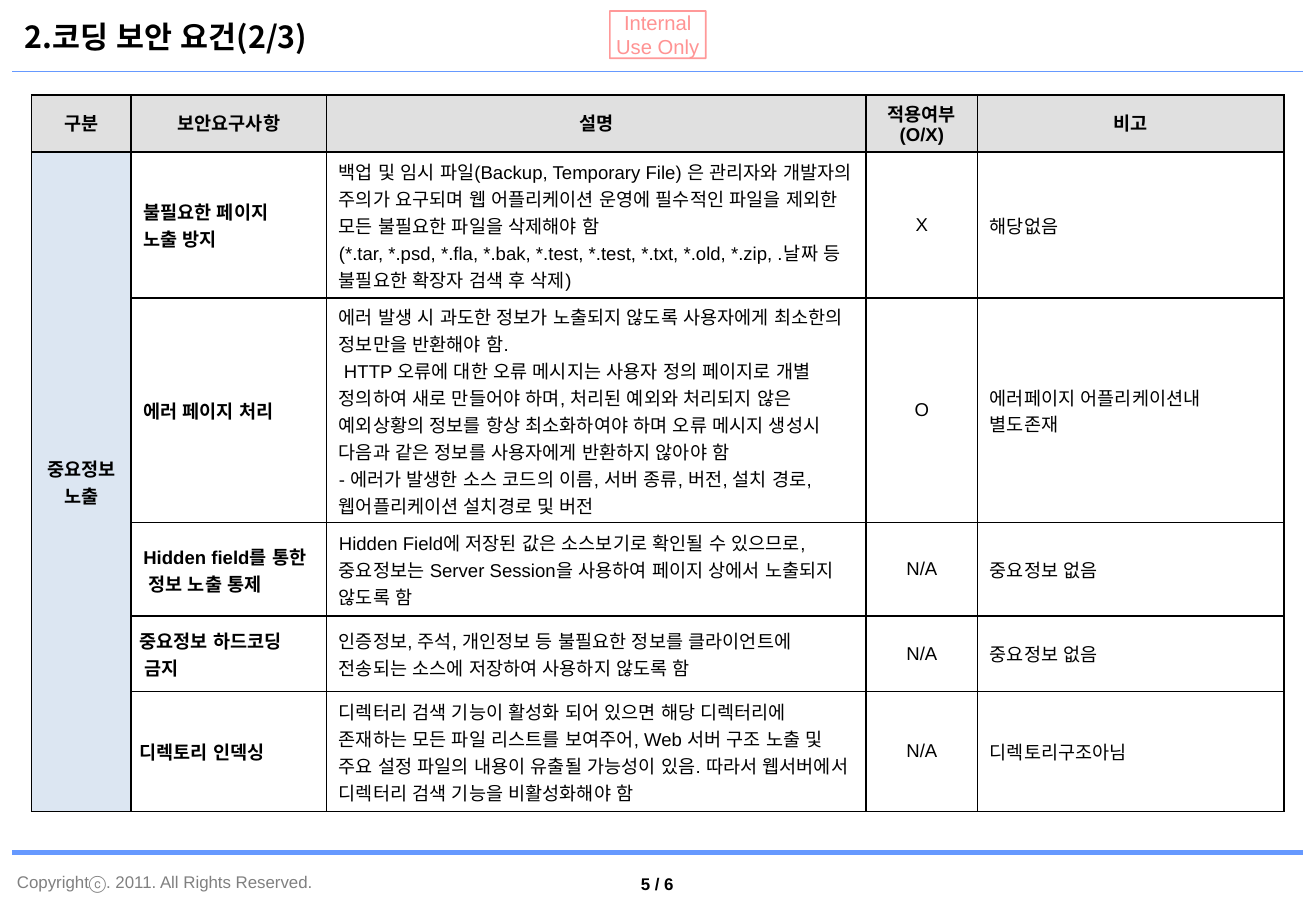
from dataclasses import dataclass

from lxml.etree import SubElement
from pptx import Presentation
from pptx.dml.color import RGBColor
from pptx.enum.lang import MSO_LANGUAGE_ID
from pptx.enum.shapes import MSO_CONNECTOR, MSO_SHAPE
from pptx.enum.text import MSO_ANCHOR, MSO_AUTO_SIZE, PP_ALIGN
from pptx.oxml import parse_xml
from pptx.oxml.ns import nsdecls, qn
from pptx.util import Pt


@dataclass(frozen=True)
class Theme:
    latin: str = "Arial"
    hangul: str = "Noto Sans CJK KR"
    ink: str = "000000"
    rule: str = "6699FF"
    stamp: str = "FF0000"
    pale: str = "FF9393"
    gray: str = "808080"
    head: str = "E0E0E0"
    group: str = "DCE6F2"
    title: int = 18
    mark: int = 12
    cell: int = 11
    foot: int = 10


THEME = Theme()
LEFT, MID = PP_ALIGN.LEFT, PP_ALIGN.CENTER
WIDTHS = [59.04, 115.92, 319.68, 66.24, 181.44]
HEIGHTS = [33.84, 86.4, 133.2, 55.44, 44.64, 71.28]
HEADS = ["구분", "보안요구사항", "설명", "적용여부\n(O/X)", "비고"]
GROUP = "중요정보 노출"
ROWS = [
    ("불필요한 페이지\v노출 방지",
     "백업 및 임시 파일(Backup, Temporary File) 은 관리자와 개발자의 주의가 요구되며 "
     "웹 어플리케이션 운영에 필수적인 파일을 제외한 모든 불필요한 파일을 삭제해야 함\n"
     "(*.tar, *.psd, *.fla, *.bak, *.test, *.test, *.txt, *.old, *.zip, .날짜 등 "
     "불필요한 확장자 검색 후 삭제)",
     "X", "해당없음"),
    ("에러 페이지 처리",
     "에러 발생 시 과도한 정보가 노출되지 않도록 사용자에게 최소한의 정보만을 반환해야 함.\n"
     " HTTP 오류에 대한 오류 메시지는 사용자 정의 페이지로 개별 정의하여 새로 만들어야 하며, "
     "처리된 예외와 처리되지 않은 예외상황의 정보를 항상 최소화하여야 하며 오류 메시지 생성시 "
     "다음과 같은 정보를 사용자에게 반환하지 않아야 함\n"
     "- 에러가 발생한 소스 코드의 이름, 서버 종류, 버전, 설치 경로, "
     "웹어플리케이션 설치경로 및 버전",
     "O", "에러페이지 어플리케이션내 별도존재"),
    ("Hidden field를 통한\v 정보 노출 통제",
     "Hidden Field에 저장된 값은 소스보기로 확인될 수 있으므로, 중요정보는 Server Session을 "
     "사용하여 페이지 상에서 노출되지 않도록 함",
     "N/A", "중요정보 없음"),
    ("중요정보 하드코딩\n 금지",
     "인증정보, 주석, 개인정보 등 불필요한 정보를 클라이언트에 전송되는 소스에 저장하여 "
     "사용하지 않도록 함",
     "N/A", "중요정보 없음"),
    ("디렉토리 인덱싱",
     "디렉터리 검색 기능이 활성화 되어 있으면 해당 디렉터리에 존재하는 모든 파일 리스트를 "
     "보여주어, Web 서버 구조 노출 및 주요 설정 파일의 내용이 유출될 가능성이 있음. 따라서 "
     "웹서버에서 디렉터리 검색 기능을 비활성화해야 함",
     "N/A", "디렉토리구조아님"),
]


def rgb(code):
    return RGBColor.from_string(code)


def put(item, **values):
    for name, value in values.items():
        setattr(item, name, value)


def inset(item, side, end):
    put(item, margin_left=Pt(side), margin_right=Pt(side),
        margin_top=Pt(end), margin_bottom=Pt(end))


def write(frame, text, size, color=THEME.ink, bold=False, align=LEFT,
          latin=THEME.latin, space=1.0):
    """Fill a text frame and format every run for Latin and Hangul."""
    frame.text = text
    for para in frame.paragraphs:
        put(para, alignment=align, line_spacing=space)
        for run in para.runs:
            put(run.font, size=Pt(size), bold=bold, name=latin,
                language_id=MSO_LANGUAGE_ID.KOREAN)
            run.font.color.rgb = rgb(color)
            SubElement(run.font._element, qn("a:ea"), typeface=THEME.hangul)


def rule(slide, top, width):
    line = slide.shapes.add_connector(
        MSO_CONNECTOR.STRAIGHT, Pt(7.2), Pt(top), Pt(772.56), Pt(top))
    line.line.color.rgb = rgb(THEME.rule)
    line.line.width = Pt(width)
    SubElement(line._element.spPr, qn("a:effectLst"))


def label(slide, box, text, **style):
    shape = slide.shapes.add_textbox(*map(Pt, box))
    put(shape.text_frame, word_wrap=True, vertical_anchor=MSO_ANCHOR.MIDDLE)
    inset(shape.text_frame, 2.88, 2.88)
    write(shape.text_frame, text, THEME.foot, **style)


def stamp(slide):
    shape = slide.shapes.add_shape(
        MSO_SHAPE.RECTANGLE, Pt(361.44), Pt(6.48), Pt(56.88), Pt(28.08))
    shape.shadow.inherit = False
    shape.fill.background()
    shape.line.color.rgb = rgb(THEME.stamp)
    shape.line.width = Pt(1)
    tint = shape.line._ln.find(".//" + qn("a:srgbClr"))
    SubElement(tint, qn("a:alpha"), val="40000")
    put(shape.text_frame, word_wrap=False, vertical_anchor=MSO_ANCHOR.MIDDLE)
    inset(shape.text_frame, 2.88, 2.88)
    write(shape.text_frame, "Internal\nUse Only", THEME.mark, THEME.pale, align=MID)


def title(slide, text):
    shape = slide.shapes.title
    put(shape, left=Pt(11.52), top=Pt(0), width=Pt(236.88), height=Pt(43.2))
    put(shape.text_frame, word_wrap=True, auto_size=MSO_AUTO_SIZE.NONE,
        vertical_anchor=MSO_ANCHOR.MIDDLE)
    inset(shape.text_frame, 2.88, 2.88)
    write(shape.text_frame, text, THEME.title, bold=True, latin=THEME.hangul)


def border(cell):
    props = cell._tc.get_or_add_tcPr()
    for spot, side in enumerate("LRTB"):
        props.insert(spot, parse_xml(
            f'<a:ln{side} {nsdecls("a")} w="{Pt(1)}"><a:solidFill>'
            f'<a:srgbClr val="{THEME.ink}"/></a:solidFill></a:ln{side}>'))


def dress(cell, text, fill=None, side=7.2, **style):
    """Fill, frame and write one table cell."""
    cell.vertical_anchor = MSO_ANCHOR.MIDDLE
    inset(cell, side, 3)
    if fill:
        cell.fill.solid()
        cell.fill.fore_color.rgb = rgb(fill)
    else:
        cell.fill.background()
    border(cell)
    write(cell.text_frame, text, THEME.cell, **style)


def grid(slide):
    table = slide.shapes.add_table(
        len(HEIGHTS), len(WIDTHS), Pt(18.72), Pt(56.4),
        Pt(sum(WIDTHS)), Pt(sum(HEIGHTS))).table
    put(table, first_row=False, horz_banding=False)
    for col, width in zip(table.columns, WIDTHS):
        col.width = Pt(width)
    for row, height in zip(table.rows, HEIGHTS):
        row.height = Pt(height)
    for col, text in enumerate(HEADS):
        dress(table.cell(0, col), text, THEME.head, bold=True, align=MID, space=0.9)
    for row, (need, note, used, remark) in enumerate(ROWS, 1):
        dress(table.cell(row, 0), GROUP if row == 1 else "", THEME.group,
              bold=True, align=MID)
        dress(table.cell(row, 1), need, side=5.04 if row > 3 else 7.2, bold=True)
        dress(table.cell(row, 2), note)
        dress(table.cell(row, 3), used, align=MID)
        dress(table.cell(row, 4), remark)
    table.cell(1, 0).merge(table.cell(len(ROWS), 0))


def main():
    deck = Presentation()
    put(deck, slide_width=Pt(780), slide_height=Pt(540))
    slide = deck.slides.add_slide(deck.slide_layouts[5])
    rule(slide, 42.5, 0.75)
    rule(slide, 505.4, 3)
    stamp(slide)
    label(slide, (352.8, 514, 73.44, 19.44), "5 / 6", bold=True, align=MID)
    label(slide, (7.2, 514, 249.84, 17.28),
          "Copyrightⓒ. 2011. All Rights Reserved.", color=THEME.gray)
    grid(slide)
    title(slide, "2.코딩 보안 요건(2/3)")
    deck.save("out.pptx")


if __name__ == "__main__":
    main()
